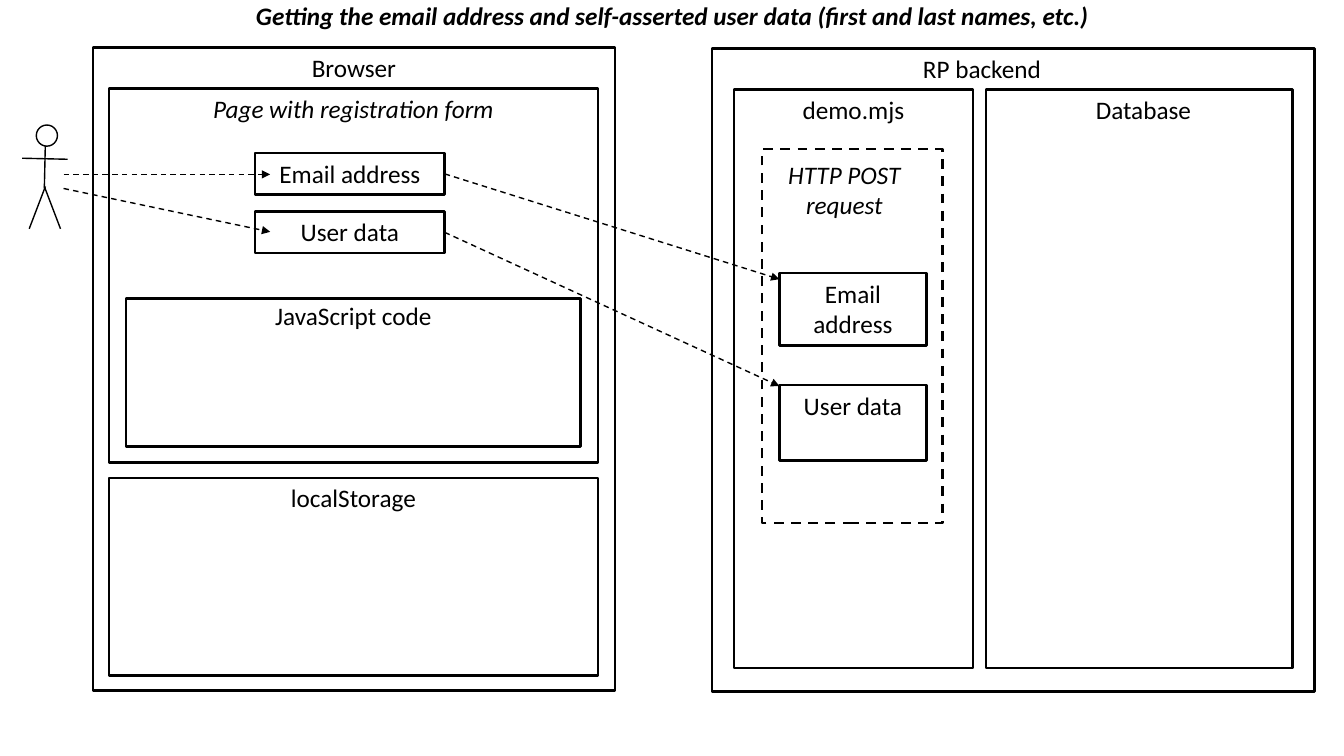
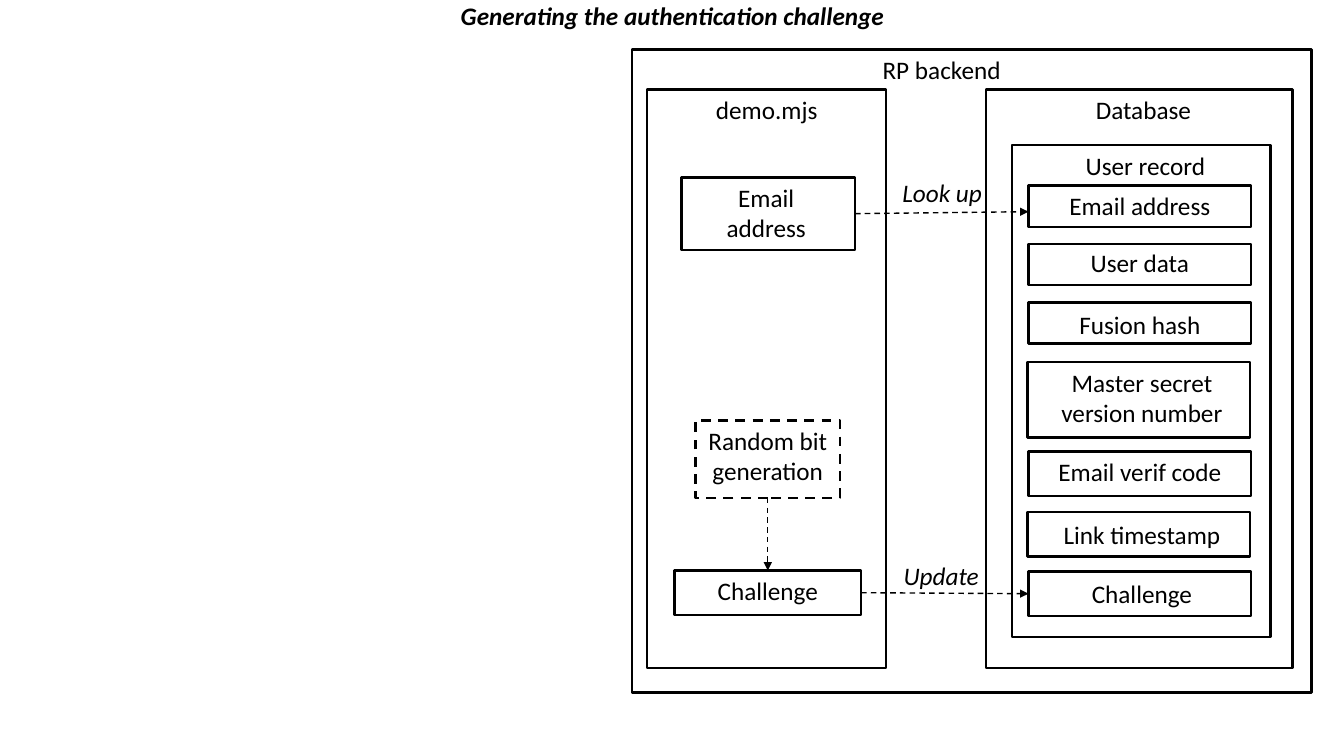
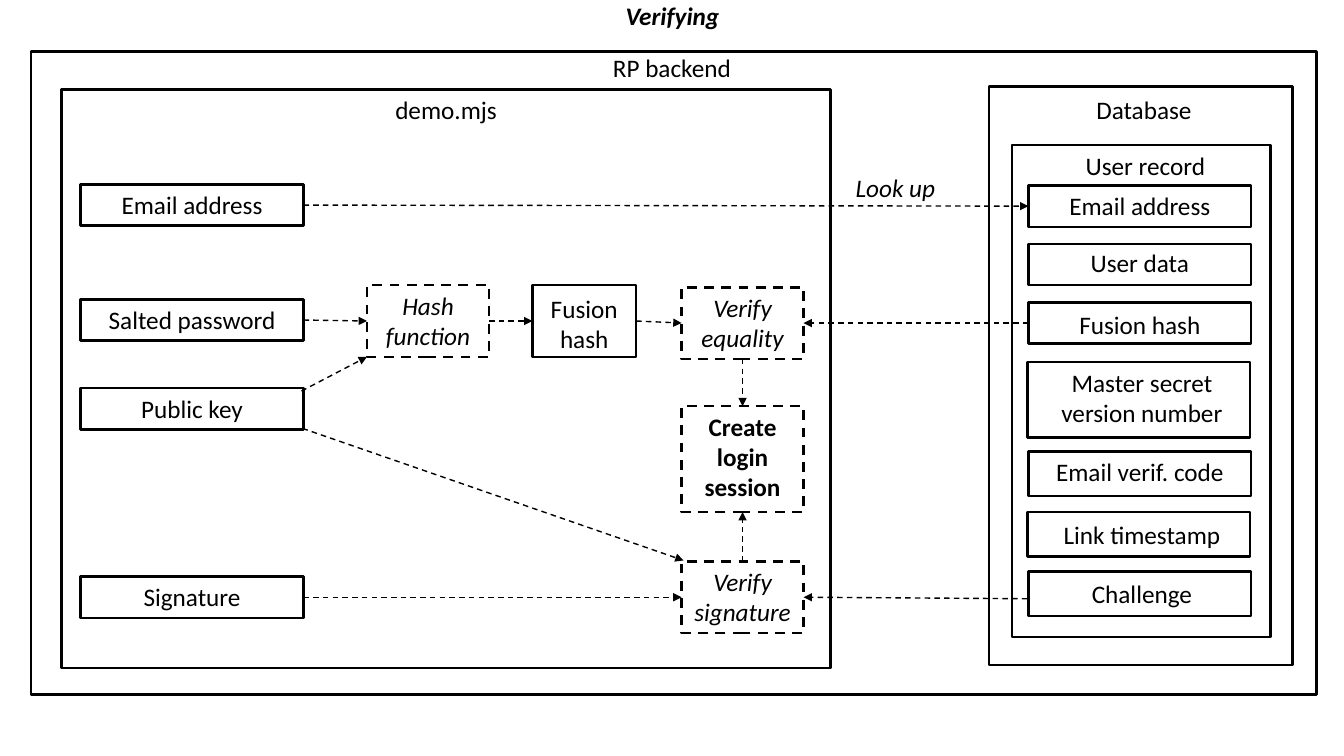
from lxml import etree
from pptx import Presentation
from pptx import util as u
from pptx.dml.color import RGBColor
from pptx.enum import dml, shapes, text
from pptx.oxml import ns

Inches, Pt = u.Inches, u.Pt
rgb = RGBColor.from_string
BLACK, WHITE = "000000", "FFFFFF"
FONT, SIZE = "Calibri", Pt(18)


def box(s, x, y, w, h, label, shift=0, drop=0, outline="solid", bold=False, italic=False):
    frame = [Inches(v) for v in (x, y, w, h)]
    if outline == "none":
        sp = s.shapes.add_textbox(*frame)
    else:
        sp = s.shapes.add_shape(shapes.MSO_SHAPE.RECTANGLE, *frame)
        sp.shadow.inherit = False
        sp.fill.background()
        sp.line.color.rgb = rgb(BLACK)
        sp.line.width = Pt(1.75)
        if outline == "dash":
            sp.line.dash_style = dml.MSO_LINE.DASH
    tf = sp.text_frame
    tf.word_wrap = True
    tf.vertical_anchor = text.MSO_ANCHOR.TOP
    tf.margin_left = Inches(0.1 + max(0, 2 * shift))
    tf.margin_right = Inches(0.1 + max(0, -2 * shift))
    tf.margin_top = Inches(0.05 + drop)
    tf.margin_bottom = 0
    for i, words in enumerate(label.split("\n")):
        p = tf.add_paragraph() if i else tf.paragraphs[0]
        p.alignment = text.PP_ALIGN.CENTER
        r = p.add_run()
        r.text = words
        r.font.name, r.font.size = FONT, SIZE
        r.font.bold, r.font.italic = bold, italic
        r.font.color.rgb = rgb(BLACK)
    return sp


def link(s, start, end, arrow=True):
    joined = [not isinstance(e[0], (int, float)) for e in (start, end)]
    ends = [(0, 0) if j else e for j, e in zip(joined, (start, end))]
    c = s.shapes.add_connector(
        shapes.MSO_CONNECTOR.STRAIGHT, *[Inches(v) for e in ends for v in e])
    if joined[0]:
        c.begin_connect(*start)
    if joined[1]:
        c.end_connect(*end)
    c.line.color.rgb = rgb(BLACK)
    c.line.width = Pt(1)
    if arrow:
        c.line.dash_style = dml.MSO_LINE.DASH
        etree.SubElement(c.line._get_or_add_ln(), ns.qn("a:tailEnd"), type="triangle")
    etree.SubElement(c._element.spPr, ns.qn("a:effectLst"))


prs = Presentation()
prs.slide_width, prs.slide_height = Inches(13.33), Inches(7.5)

slides = []
for title in (
    "Getting the email address and self-asserted user data (first and last names, etc.)",
    "Generating the authentication challenge",
    "Verifying",
):
    s = prs.slides.add_slide(prs.slide_layouts[5])
    sp = s.shapes.title
    sp.left, sp.top, sp.width, sp.height = [Inches(v) for v in (0.92, -0.09, 11.5, 0.53)]
    tf = sp.text_frame
    tf.auto_size = text.MSO_AUTO_SIZE.NONE
    tf.word_wrap = True
    tf.vertical_anchor = text.MSO_ANCHOR.MIDDLE
    p = tf.paragraphs[0]
    p.alignment = text.PP_ALIGN.CENTER
    p.line_spacing = 0.9
    r = p.add_run()
    r.text = title
    r.font.name, r.font.size = FONT, SIZE
    r.font.bold = r.font.italic = True
    r.font.color.rgb = rgb(BLACK)
    slides.append(s)
registering, challenging, verifying = slides

records = []
for s, verif in ((challenging, "Email verif code"), (verifying, "Email verif. code")):
    box(s, 10.04, 1.44, 2.56, 4.88, "User record", shift=0.04)
    record = {}
    for label, x, y, h, shift, drop in (
        ("Email address", 10.2, 1.84, 0.41, 0, 0),
        ("User data", 10.2, 2.42, 0.41, 0, -0.02),
        ("Fusion hash", 10.2, 3, 0.41, 0, 0.02),
        ("Master secret version number", 10.19, 3.59, 0.75, 0.03, 0),
        (verif, 10.2, 4.48, 0.44, 0, 0),
        ("Link timestamp", 10.19, 5.08, 0.44, 0.03, 0.02),
        ("Challenge", 10.2, 5.67, 0.44, 0.02, 0.02),
    ):
        record[label] = box(s, x, y, 2.21, h, label, shift, drop)
    records.append(record)
stored, checked = records

s = registering
box(s, 0.92, 0.47, 5.18, 6.38, "Browser")
box(s, 1.08, 0.88, 4.85, 3.71, "Page with registration form", italic=True)
box(s, 1.25, 2.96, 4.51, 1.47, "JavaScript code", drop=-0.03)
box(s, 1.08, 4.74, 4.85, 1.96, "localStorage")
box(s, 7.06, 0.48, 5.98, 6.38, "RP backend", shift=-0.31)
box(s, 7.28, 0.89, 2.37, 5.74, "demo.mjs")
box(s, 9.78, 0.89, 3.04, 5.74, "Database", shift=0.04)
box(s, 7.56, 1.48, 1.79, 3.71, "HTTP POST request", -0.08, 0.05, "dash", italic=True)
box(s, 7.73, 2.71, 1.46, 0.72, "Email\naddress")
box(s, 7.73, 3.82, 1.46, 0.75, "User data")
for label, y, typed, typed_end, posted in (
    ("Email address", 1.52, 1.73, 1.73, 2.77),
    ("User data", 2.1, 1.87, 2.3, 3.83),
):
    field = box(s, 2.53, y, 1.88, 0.41, label)
    link(s, (0.63, typed), (2.68, typed_end))
    link(s, (field, 3), (7.73, posted))

user = s.shapes.add_group_shape()
for start, end in (
    ((0.45, 1.41), (0.44, 1.87)),
    ((0.45, 1.85), (0.29, 2.27)),
    ((0.44, 1.85), (0.6, 2.27)),
    ((0.22, 1.57), (0.67, 1.58)),
):
    link(user, start, end, arrow=False)
head = user.shapes.add_shape(
    shapes.MSO_SHAPE.OVAL, Inches(0.36), Inches(1.24), Inches(0.21), Inches(0.21))
head.shadow.inherit = False
head.fill.solid()
head.fill.fore_color.rgb = rgb(WHITE)
head.line.color.rgb = rgb(BLACK)
head.line.width = Pt(1)

s = challenging
box(s, 6.27, 0.49, 6.74, 6.38, "RP backend", shift=-0.3)
box(s, 6.42, 0.89, 2.37, 5.74, "demo.mjs")
box(s, 9.78, 0.89, 3.04, 5.74, "Database", shift=0.04)
email = box(s, 6.76, 1.76, 1.72, 0.72, "Email\naddress", shift=-0.02)
random_bits = box(s, 6.9, 4.17, 1.43, 0.77, "Random bit generation", outline="dash")
challenge = box(s, 6.69, 5.66, 1.85, 0.44, "Challenge")
box(s, 8.16, 1.71, 2.37, 0.4, "Look up", outline="none", italic=True)
box(s, 8.15, 5.51, 2.37, 0.4, "Update", outline="none", italic=True)
link(s, (email, 3), (10.2, 2.1))
link(s, (random_bits, 2), (challenge, 0))
link(s, (challenge, 3), (stored["Challenge"], 1))

s = verifying
box(s, 0.31, 0.51, 12.75, 6.38, "RP backend", -0.02, -0.04)
box(s, 0.61, 0.89, 7.63, 5.74, "demo.mjs")
box(s, 9.81, 0.86, 3.01, 5.74, "Database", 0.03, 0.03)
email, password, key, signature = [
    box(s, 0.8, y, 2.21, 0.41, label)
    for label, y in (("Email address", 1.83), ("Salted password", 2.97),
                     ("Public key", 3.85), ("Signature", 5.72))]
hashing, equality, signing = [
    box(s, x, y, 1.21, 0.71, label, outline="dash", italic=True)
    for label, x, y in (("Hash function", 3.64, 2.83), ("Verify equality", 6.76, 2.85),
                        ("Verify signature", 6.76, 5.57))]
fusion = box(s, 5.28, 2.83, 1.03, 0.71, "Fusion\nhash", drop=0.03)
login = box(s, 6.76, 4.03, 1.21, 1.05, "Create login session", outline="dash", bold=True)
box(s, 8.02, 1.66, 1.72, 0.4, "Look up", outline="none", italic=True)
for start, end in (
    ((email, 3), (checked["Email address"], 1)),
    ((password, 3), (hashing, 1)),
    ((2.99, 3.88), (3.64, 3.54)),
    ((3, 4.25), (6.78, 5.56)),
    ((hashing, 3), (fusion, 1)),
    ((fusion, 3), (equality, 1)),
    ((checked["Fusion hash"], 1), (equality, 3)),
    ((signature, 3), (signing, 1)),
    ((10.19, 5.94), (signing, 3)),
    ((equality, 2), (login, 0)),
    ((signing, 0), (login, 2)),
):
    link(s, start, end)

prs.save("out.pptx")
